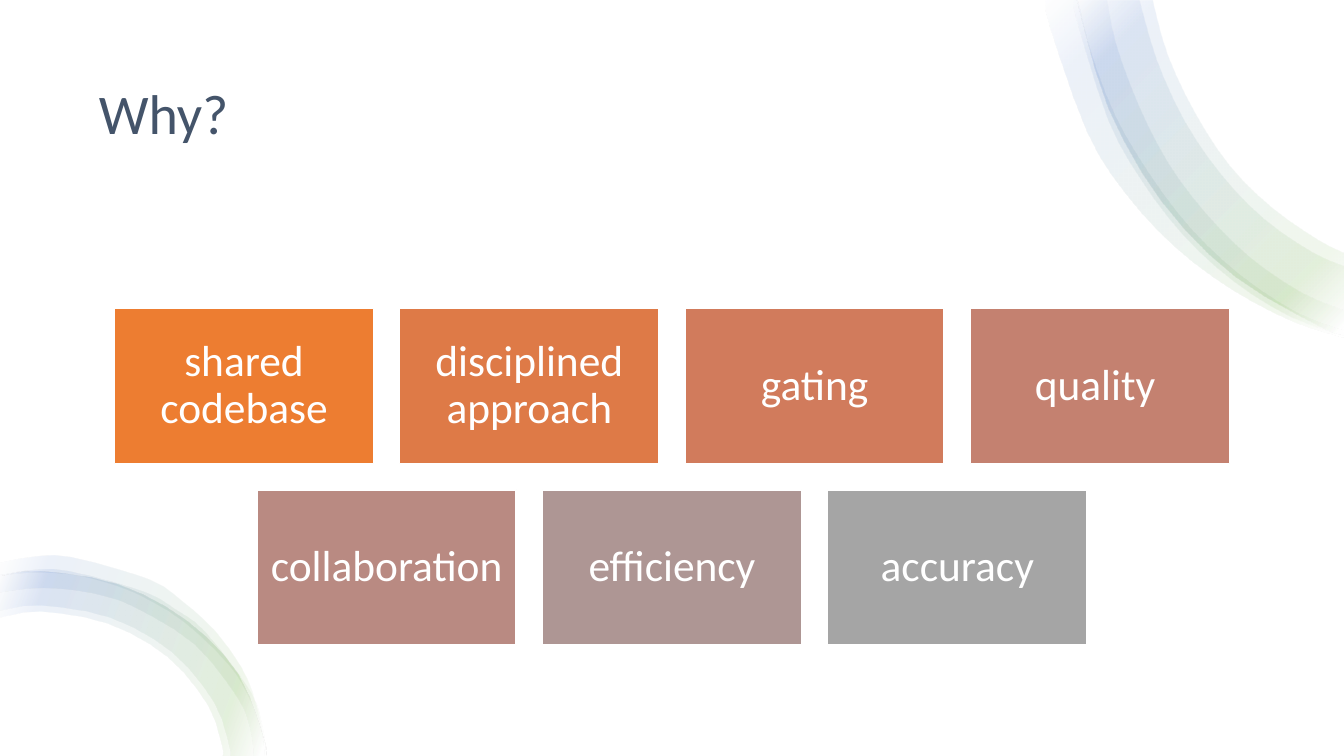
from dataclasses import dataclass

from lxml import etree
from pptx import Presentation
from pptx import util as u
from pptx.dml import color
from pptx.enum import shapes, text
from pptx.oxml import ns

Point = tuple[float, float]

WIDTH, HEIGHT = 13.33, 7.5
TILE_WIDTH, TILE_HEIGHT, GAP = 2.57, 1.54, 0.26
FIRST_ROW = 3.06
FONT = "Calibri"
CURVE_STEPS = 3
UNITS_PER_INCH = 1000
FADE = [(2, "FFFFFF"), (16, "70AD47"), (85, "4472C4"), (100, "FFFFFF")]
FADE_ALPHA = 10


@dataclass
class Reason:
    label: str
    fill: str


@dataclass
class Ribbon:
    outer: list[Point]
    inner: list[Point]
    angle: int


REASON_ROWS = [
    [
        Reason("shared codebase", "ED7D31"),
        Reason("disciplined approach", "DE7A47"),
        Reason("gating", "D17B5C"),
        Reason("quality ", "C48170"),
    ],
    [
        Reason("collaboration", "B98A82"),
        Reason("efficiency", "AE9694"),
        Reason("accuracy", "A5A5A5"),
    ],
]

TOP_ANGLE, BOTTOM_ANGLE = 135, 160
TOP_ARC = [(13.33, 3.32), (13.09, 3.24), (12.24, 2.74), (11.52, 2.0),
           (10.99, 1.07), (10.69, 0.04), (10.68, 0)]
BOTTOM_ARC = [(2.63, 7.5), (2.62, 7.35), (2.36, 6.69), (1.85, 6.16),
              (1.17, 5.8), (0.4, 5.67), (0, 5.72)]

RIBBONS = [
    Ribbon(
        [(13.33, 3.35), (12.82, 3.19), (12.21, 2.87), (11.65, 2.45),
         (11.16, 1.92), (10.78, 1.31), (10.41, 0.26), (10.37, 0)],
        [(10.69, 0), (10.82, 0.52), (11.06, 1.15), (11.4, 1.73),
         (11.81, 2.27), (12.3, 2.73), (12.86, 3.1), (13.33, 3.28)],
        TOP_ANGLE),
    Ribbon(
        TOP_ARC,
        [(11.43, 0), (11.58, 0.55), (11.85, 1.12), (12.19, 1.64),
         (12.61, 2.06), (13.07, 2.38), (13.33, 2.51)],
        TOP_ANGLE),
    Ribbon(
        [(13.33, 3.33), (12.79, 3.14), (12.23, 2.79), (11.73, 2.33),
         (11.32, 1.79), (10.99, 1.19), (10.68, 0.2), (10.65, 0)],
        [(10.98, 0), (11.07, 0.44), (11.29, 1.04), (11.58, 1.61),
         (11.95, 2.11), (12.39, 2.55), (12.9, 2.9), (13.33, 3.08)],
        TOP_ANGLE),
    Ribbon(
        TOP_ARC,
        [(11.3, 0), (11.47, 0.59), (11.74, 1.19), (12.1, 1.72),
         (12.53, 2.17), (13.01, 2.5), (13.33, 2.64)],
        TOP_ANGLE),
    Ribbon(
        BOTTOM_ARC,
        [(0, 6.13), (0.4, 6.07), (1.07, 6.19), (1.66, 6.52),
         (2.06, 7), (2.2, 7.41), (2.2, 7.5)],
        BOTTOM_ANGLE),
    Ribbon(
        BOTTOM_ARC,
        [(0, 6.06), (0.4, 6.01), (1.09, 6.13), (1.7, 6.47),
         (2.12, 6.97), (2.27, 7.4), (2.28, 7.5)],
        BOTTOM_ANGLE),
    Ribbon(
        [(2.63, 7.5), (2.59, 7.19), (2.47, 6.85), (2.03, 6.27), (1.74, 6.05),
         (1.42, 5.87), (0.69, 5.67), (0.31, 5.66), (0, 5.71)],
        [(0, 5.88), (0.33, 5.84), (0.67, 5.85), (1.01, 5.91), (1.34, 6.03),
         (1.92, 6.39), (2.34, 6.91), (2.47, 7.21), (2.51, 7.5)],
        BOTTOM_ANGLE),
    Ribbon(
        [(2.64, 7.5), (2.5, 6.87), (2.33, 6.53), (2.1, 6.23), (1.81, 5.97),
         (1.48, 5.75), (0.71, 5.53), (0.31, 5.53), (0, 5.59)],
        [(0, 5.72), (0.32, 5.68), (0.69, 5.7), (1.05, 5.78), (1.39, 5.91),
         (1.82, 6.17), (2.25, 6.58), (2.45, 6.89), (2.58, 7.22), (2.62, 7.5)],
        BOTTOM_ANGLE),
]


def rgb(value: str) -> color.RGBColor:
    return color.RGBColor.from_string(value)


def smooth(knots: list[Point]) -> list[Point]:
    padded = [knots[0], *knots, knots[-1]]
    curve = [knots[0]]
    for before, start, end, after in zip(padded, padded[1:], padded[2:], padded[3:]):
        for step in range(1, CURVE_STEPS + 1):
            t = step / CURVE_STEPS
            x, y = (
                b + ((c - a) * t + (2 * a - 5 * b + 4 * c - d) * t ** 2
                     + (3 * b - a - 3 * c + d) * t ** 3) / 2
                for a, b, c, d in zip(before, start, end, after)
            )
            curve.append((x, y))
    return curve


def draw_ribbon(slide, ribbon: Ribbon) -> None:
    outline = [(x * UNITS_PER_INCH, y * UNITS_PER_INCH)
               for x, y in smooth(ribbon.outer) + smooth(ribbon.inner)]
    builder = slide.shapes.build_freeform(
        *outline[0], scale=u.Inches(1) / UNITS_PER_INCH)
    builder.add_line_segments(outline[1:], close=True)
    band = builder.convert_to_shape()
    band.shadow.inherit = False
    band.line.fill.background()
    band.fill.gradient()
    band.fill.gradient_angle = ribbon.angle
    stops = band._element.spPr.find(".//" + ns.qn("a:gsLst"))
    for stop in list(stops):
        stops.remove(stop)
    for position, tint in FADE:
        stop = etree.SubElement(stops, ns.qn("a:gs"), pos=str(position * 1000))
        shade = etree.SubElement(stop, ns.qn("a:srgbClr"), val=tint)
        etree.SubElement(shade, ns.qn("a:alpha"), val=str(FADE_ALPHA * 1000))


def write(frame, words: str, size: float, tint: str, align: text.PP_ALIGN) -> None:
    frame.word_wrap = True
    frame.vertical_anchor = text.MSO_ANCHOR.MIDDLE
    paragraph = frame.paragraphs[0]
    paragraph.alignment = align
    paragraph.line_spacing = 0.9
    run = paragraph.add_run()
    run.text = words
    run.font.name = FONT
    run.font.size = u.Pt(size)
    run.font.color.rgb = rgb(tint)


def draw_box(slide, left: float, top: float, width: float, height: float, fill: str):
    box = slide.shapes.add_shape(
        shapes.MSO_SHAPE.RECTANGLE,
        *(u.Inches(n) for n in (left, top, width, height)))
    box.shadow.inherit = False
    box.fill.solid()
    box.fill.fore_color.rgb = rgb(fill)
    box.line.fill.background()
    return box


def draw_reason(slide, reason: Reason, left: float, top: float) -> None:
    tile = draw_box(slide, left, top, TILE_WIDTH, TILE_HEIGHT, reason.fill)
    tile.line.color.rgb = rgb("FFFFFF")
    tile.line.width = u.Pt(1)
    frame = tile.text_frame
    frame.margin_left = frame.margin_right = u.Inches(0.13)
    frame.margin_top = frame.margin_bottom = u.Inches(0.13)
    write(frame, reason.label, 31, "FFFFFF", text.PP_ALIGN.CENTER)


def main() -> None:
    deck = Presentation()
    deck.slide_width, deck.slide_height = u.Inches(WIDTH), u.Inches(HEIGHT)
    slide = deck.slides.add_slide(deck.slide_layouts[5])

    why = slide.shapes.title
    why.left, why.top = u.Inches(0.88), u.Inches(0.5)
    why.width, why.height = u.Inches(11.57), u.Inches(1.3)
    write(why.text_frame, "Why?", 40, "44546A", text.PP_ALIGN.LEFT)

    backdrop = draw_box(slide, 0, 0, WIDTH, HEIGHT, "FFFFFF")
    why._element.addprevious(backdrop._element)

    for ribbon in RIBBONS:
        draw_ribbon(slide, ribbon)

    for row, reasons in enumerate(REASON_ROWS):
        row_width = len(reasons) * (TILE_WIDTH + GAP) - GAP
        for column, reason in enumerate(reasons):
            draw_reason(slide, reason,
                        (WIDTH - row_width) / 2 + column * (TILE_WIDTH + GAP),
                        FIRST_ROW + row * (TILE_HEIGHT + GAP))

    deck.save("out.pptx")


if __name__ == "__main__":
    main()
